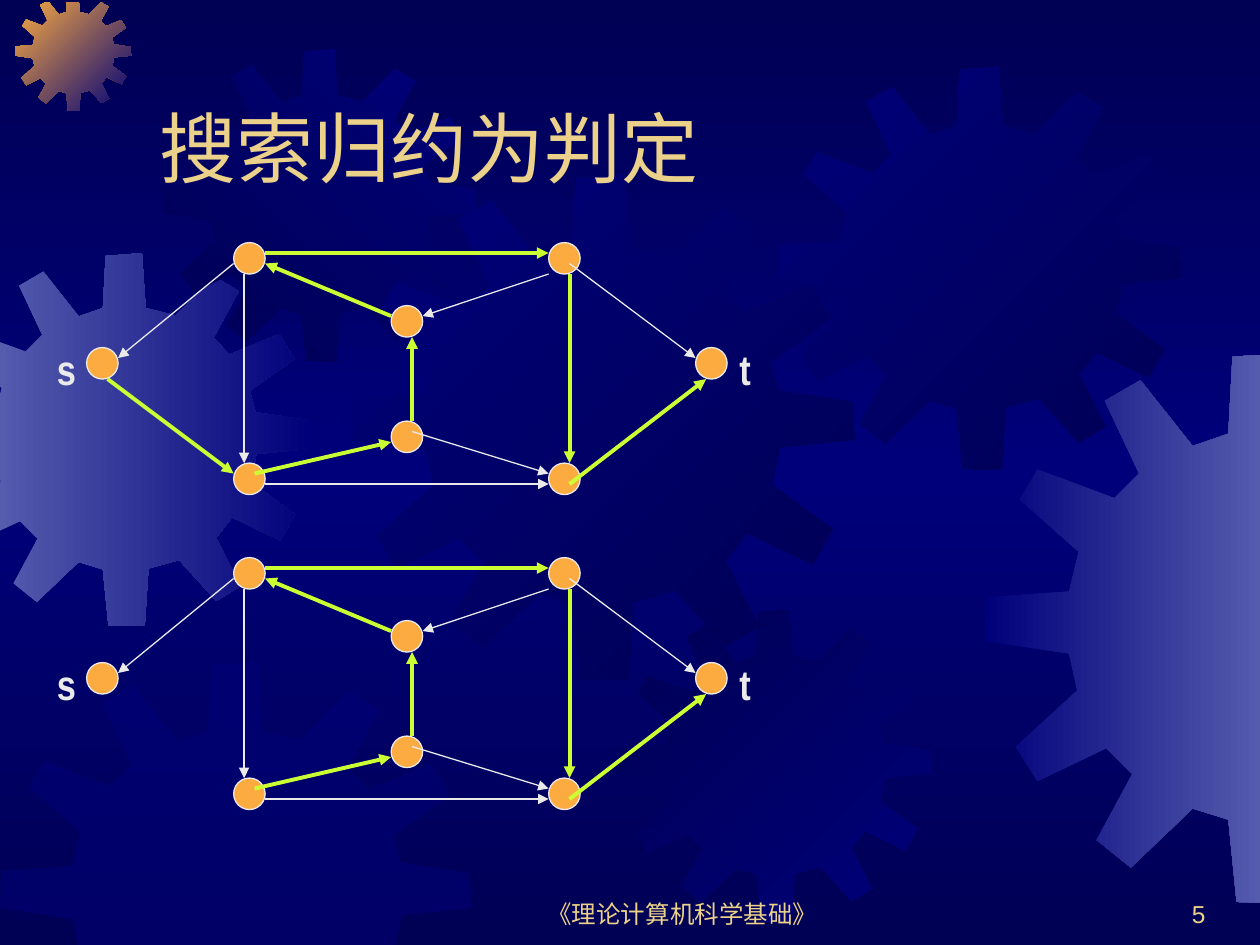
from copy import deepcopy
from lxml.etree import SubElement
from pptx import Presentation
from pptx.dml.color import RGBColor
from pptx.enum.shapes import MSO_CONNECTOR as CONN, MSO_SHAPE as SHAPE
from pptx.enum.text import MSO_ANCHOR as ANCHOR, PP_ALIGN as ALIGN
from pptx.oxml.ns import qn
from pptx.util import Inches, Pt

rgb = RGBColor.from_string
NAVY, BLUE, STEEL = "000054", "00007A", "555BAD"
ORANGE, SAND, PALE, LIME = "FCAB40", "EBD189", "EAEAEA", "CCFF33"

prs = Presentation()
prs.slide_width, prs.slide_height = Inches(10), Inches(7.5)
U = prs.slide_width / 120
s = prs.slides.add_slide(prs.slide_layouts[6])

fill = s.background.fill
fill.gradient()
fill.gradient_angle = 270
gs_lst = s.element.xpath(".//p:bg//a:gsLst")[0]
gs_lst.insert(1, deepcopy(gs_lst[0]))
for stop, pos, color in zip(fill.gradient_stops, (0, 0.5, 1), (NAVY, BLUE, NAVY)):
    stop.position = pos
    stop.color.rgb = rgb(color)


def clip(pts, axis, sign, limit):
    out = []
    for a, b in zip(pts[-1:] + pts[:-1], pts):
        da, db = sign * (limit - a[axis]), sign * (limit - b[axis])
        if da * db < 0:
            t = da / (da - db)
            out.append((a[0] + t * (b[0] - a[0]), a[1] + t * (b[1] - a[1])))
        if db >= 0:
            out.append(b)
    return out


def add_text(shapes, box, text, size, color, font="Arial", bold=False,
             align=ALIGN.LEFT, anchor=ANCHOR.BOTTOM):
    tf = shapes.add_textbox(*(round(v * U) for v in box)).text_frame
    tf.word_wrap = True
    tf.vertical_anchor = anchor
    p = tf.paragraphs[0]
    p.alignment = align
    r = p.add_run()
    r.text = text
    r.font.size, r.font.name, r.font.bold = Pt(size), font, bold
    r.font.color.rgb = rgb(color)


GEAR_SIZE = 401
GEAR = [
    (255, 67), (223, 59), (219, 0), (180, 3), (177, 59), (151, 68),
    (113, 20), (87, 35), (112, 88), (94, 106), (38, 85), (25, 107),
    (68, 145), (61, 174), (1, 178), (0, 210), (61, 219), (67, 246),
    (22, 287), (38, 312), (88, 288), (107, 307), (81, 355), (106, 375),
    (151, 332), (177, 340), (183, 400), (222, 401), (226, 339), (259, 330),
    (299, 374), (325, 358), (299, 306), (316, 284), (368, 309), (384, 281),
    (336, 246), (342, 216), (401, 210), (400, 180), (341, 171), (335, 148),
    (383, 114), (367, 87), (313, 109), (296, 91), (323, 41), (297, 25),
]
EDGES = [(0, -1, -0.01), (0, 1, 10.01), (1, -1, 0.02), (1, 1, 7.54)]
gears = [
    (-0.49, 2.01, 2.96, STEEL, BLUE, 0),
    (0.12, -0.04, 0.92, ORANGE, BLUE, 315),
    (1.3, 0.39, 2.48, NAVY, BLUE, 45),
    (2.77, 1.39, 4.01, BLUE, NAVY, 315),
    (0, 5.25, 3.74, BLUE, None, 0),
    (4.91, 4.84, 2.48, NAVY, BLUE, 315),
    (6.18, 0.53, 3.2, BLUE, NAVY, 315),
    (7.82, 2.8, 4.37, BLUE, STEEL, 0),
]
for left, top, size, first, last, angle in gears:
    k = size / GEAR_SIZE
    pts = [(left + x * k, top + y * k) for x, y in GEAR]
    for axis, sign, limit in EDGES:
        pts = clip(pts, axis, sign, limit)
    pts = [(Inches(x), Inches(y)) for x, y in pts]
    fb = s.shapes.build_freeform(*pts[0])
    fb.add_line_segments(pts[1:], close=True)
    sp = fb.convert_to_shape()
    sp.shadow.inherit = False
    sp.line.fill.background()
    if last:
        sp.fill.gradient()
        sp.fill.gradient_angle = angle
        for stop, color in zip(sp.fill.gradient_stops, (first, last)):
            stop.color.rgb = rgb(color)
    else:
        sp.fill.solid()
        sp.fill.fore_color.rgb = rgb(first)
        clr = sp.element.spPr.find(qn("a:solidFill"))[0]
        SubElement(clr, qn("a:alpha")).set("val", "50000")

add_text(s.shapes, (46, 83, 38, 6), "《理论计算机科学基础》", 14, SAND, align=ALIGN.CENTER)
add_text(s.shapes, (91, 83, 25, 6), "5", 14, SAND, align=ALIGN.RIGHT)
add_text(s.shapes, (14, 4, 102, 15), "搜索归约为判定", 44, SAND)

X0, Y0, NODE, GRAPH_STEP = 0.25, 23.1, 3, 30
nodes = [(8, 10), (22, 0), (22, 21), (37, 6), (37, 17), (52, 0), (52, 21), (66, 10)]
plain_edges = [
    (22, 2, 11, 11), (23, 3, 23, 21), (54, 2, 66, 11),
    (25, 23, 52, 23), (39, 18, 52, 22), (52, 3, 40, 7),
]
path_edges = [
    (24, 22, 37, 19), (39, 17, 39, 9), (37, 7, 25, 2),
    (25, 1, 52, 1), (54, 3, 54, 21), (54, 23, 67, 13),
]
start_edge = (10, 13, 22, 22)

for i, chosen in enumerate(([start_edge] + path_edges, path_edges)):
    y0 = Y0 + i * GRAPH_STEP
    shapes = s.shapes.add_group_shape().shapes
    for x, y in nodes:
        sp = shapes.add_shape(SHAPE.OVAL, round((X0 + x) * U), round((y0 + y) * U),
                              round(NODE * U), round(NODE * U))
        sp.shadow.inherit = False
        sp.fill.solid()
        sp.fill.fore_color.rgb = rgb(ORANGE)
        sp.line.color.rgb = rgb(PALE)
        sp.line.width = Pt(0.75)
    for edges, color, width in ((plain_edges, PALE, 0.75), (chosen, LIME, 2.25)):
        for x1, y1, x2, y2 in edges:
            ln = shapes.add_connector(
                CONN.STRAIGHT, round((X0 + x1) * U), round((y0 + y1) * U),
                round((X0 + x2) * U), round((y0 + y2) * U))
            ln.line.color.rgb = rgb(color)
            ln.line.width = Pt(width)
            spPr = ln.element.spPr
            SubElement(spPr.find(qn("a:ln")), qn("a:tailEnd")).set("type", "triangle")
            SubElement(spPr, qn("a:effectLst"))
    for x, label in ((4, "s"), (69, "t")):
        add_text(shapes, (X0 + x, y0 + 9, 6, 6), label, 24, PALE,
                 "Arial Narrow", True, anchor=ANCHOR.TOP)

prs.save("out.pptx")
